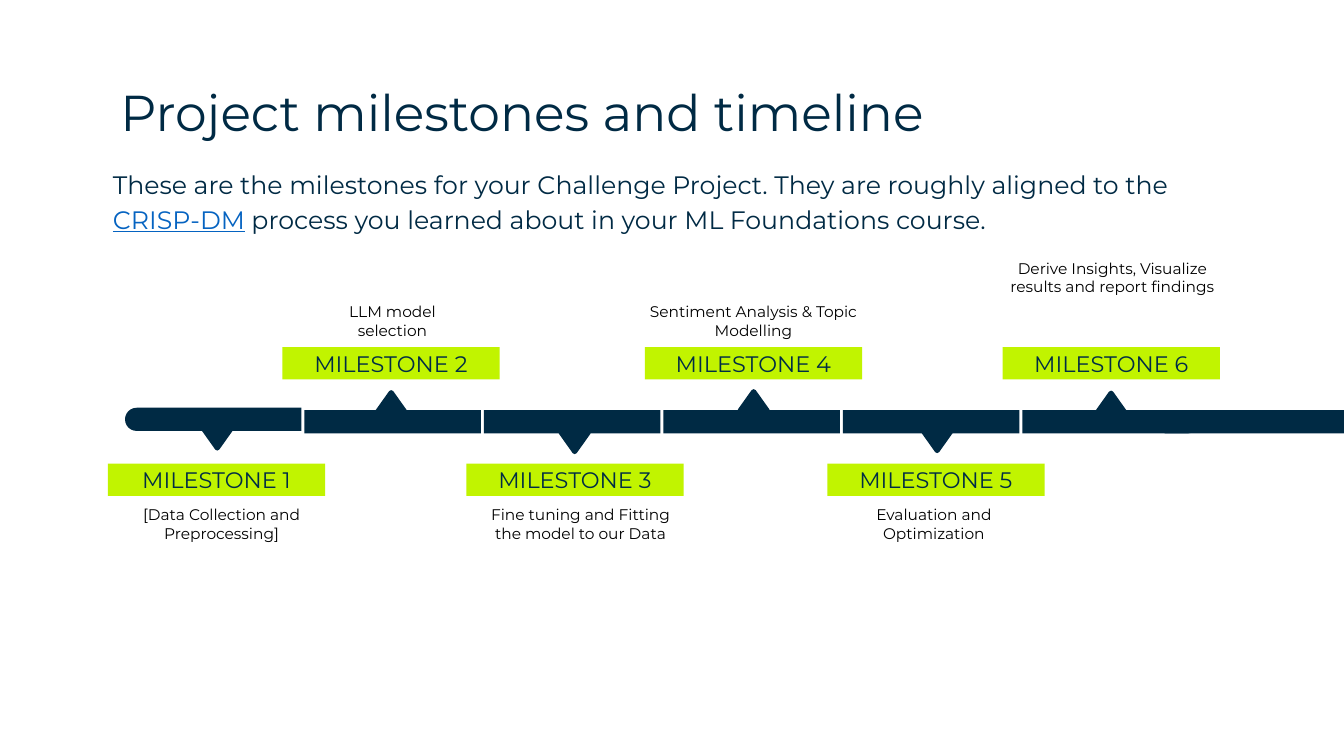
from pptx import Presentation
from pptx.dml.color import RGBColor
from pptx.enum.shapes import MSO_SHAPE as Shape
from pptx.enum.text import MSO_ANCHOR as Anchor, MSO_AUTO_SIZE as Fit, PP_ALIGN as Align
from pptx.util import Inches, Pt

NAVY = RGBColor(0x00, 0x2A, 0x44)
INK = RGBColor(0x00, 0x2D, 0x45)
LIME = RGBColor(0xC1, 0xF4, 0x00)
BLACK = RGBColor(0x00, 0x00, 0x00)
BLUE = RGBColor(0x05, 0x63, 0xC1)
FONT = "Montserrat"

BAR_TOP, BAR_W, BAR_H = 8.14, 3.5, 0.46
BAR_LEFT, BAR_STEP = 6.04, 3.56
TAG_W, TAG_H = 4.31, 0.64
UP_TOP, DOWN_TOP = 6.89, 9.2

HALF = [(0, 0.24), (0.04, 0.22), (0.31, -0.16), (0.32, -0.19), (0.31, -0.22), (0.27, -0.24)]
TIP = HALF + [(-x, y) for x, y in HALF[:0:-1]]

STONES = [
    (2.14, (4.31, 8.7), (2.24, 9.98, 4.31, 1.21), "[Data Collection and Preprocessing]"),
    (5.6, (7.76, 7.98), (6.33, 5.95, 2.91, 0.84), "LLM model selection"),
    (9.25, (11.4, 8.77), (9.36, 9.98, 4.31, 1.21), "Fine tuning and Fitting the model to our Data"),
    (12.79, (14.95, 7.96), (12.79, 5.95, 4.31, 1.21), "Sentiment Analysis & Topic Modelling"),
    (16.41, (18.59, 8.75), (16.41, 9.98, 4.23, 1.21), "Evaluation and Optimization"),
    (19.89, (22.04, 7.99), (19.91, 5.09, 4.31, 1.58), "Derive Insights, Visualize results and report findings"),
]


def place(shape, box):
    shape.left, shape.top, shape.width, shape.height = map(Inches, box)


def paint(shape, color):
    shape.shadow.inherit = False
    shape.fill.solid()
    shape.fill.fore_color.rgb = color
    shape.line.fill.background()


def style(run, size, color):
    run.font.name = FONT
    run.font.size = Pt(size)
    run.font.color.rgb = color


def write(shape, text, size, color, align=Align.CENTER, anchor=Anchor.TOP, pad=0.05):
    frame = shape.text_frame
    frame.text = text
    frame.word_wrap = True
    frame.auto_size = Fit.NONE
    frame.vertical_anchor = anchor
    frame.margin_left = frame.margin_right = Inches(0.1)
    frame.margin_top = frame.margin_bottom = Inches(pad)
    para = frame.paragraphs[0]
    para.alignment = align
    for run in para.runs:
        style(run, size, color)
    return para


def add_block(slide, box, color, kind=Shape.RECTANGLE):
    shape = slide.shapes.add_shape(kind, *map(Inches, box))
    paint(shape, color)
    return shape


def add_cap(slide, left, top, turn):
    box = (left + (BAR_W - BAR_H) / 2, top - (BAR_W - BAR_H) / 2, BAR_H, BAR_W)
    cap = add_block(slide, box, NAVY, Shape.ROUND_2_SAME_RECTANGLE)
    cap.adjustments[0] = 0.5
    cap.rotation = turn


def add_tip(slide, mid, sign):
    x, y = mid
    points = [(Inches(x + dx), Inches(y + sign * dy)) for dx, dy in TIP]
    form = slide.shapes.build_freeform(*points[0])
    form.add_line_segments(points[1:], close=True)
    paint(form.convert_to_shape(), NAVY)


def add_text(slide, box, text, size, color, **opts):
    shape = slide.shapes.add_textbox(*map(Inches, box))
    return write(shape, text, size, color, **opts)


def add_bars(slide):
    add_cap(slide, 2.48, 8.09, 270)
    for i in range(4):
        add_block(slide, (BAR_LEFT + i * BAR_STEP, BAR_TOP, BAR_W, BAR_H), NAVY)
    add_cap(slide, BAR_LEFT + 4 * BAR_STEP, BAR_TOP, 90)
    add_block(slide, (23.1, BAR_TOP, 3.56, BAR_H), NAVY)


def add_stone(slide, num, left, mid, box, text):
    down = num % 2
    add_tip(slide, mid, 1 if down else -1)
    tag = add_block(slide, (left, DOWN_TOP if down else UP_TOP, TAG_W, TAG_H), LIME)
    write(tag, f"MILESTONE {num}", 32, INK, anchor=Anchor.MIDDLE)
    add_text(slide, box, text, 22, BLACK)


def add_intro(slide):
    lead = "These are the milestones for your Challenge Project. They are roughly aligned to the "
    para = add_text(slide, (2.14, 3.17, 21.96, 1.84), lead, 36, NAVY, align=Align.LEFT, pad=0.1)
    para.line_spacing = 1.15
    term = para.add_run()
    term.text = "CRISP-DM"
    style(term, 36, BLUE)
    term.font.underline = True
    rest = para.add_run()
    rest.text = " process you learned about in your ML Foundations course."
    style(rest, 36, NAVY)


def main():
    deck = Presentation()
    deck.slide_width, deck.slide_height = Inches(26.66), Inches(15)
    slide = deck.slides.add_slide(deck.slide_layouts[5])
    title = slide.shapes.title
    place(title, (2.29, 1.51, 22.09, 1.41))
    write(title, "Project milestones and timeline", 72, NAVY, align=Align.LEFT, pad=0.1)
    add_intro(slide)
    add_bars(slide)
    for num, stone in enumerate(STONES, 1):
        add_stone(slide, num, *stone)
    deck.save("out.pptx")


if __name__ == "__main__":
    main()
